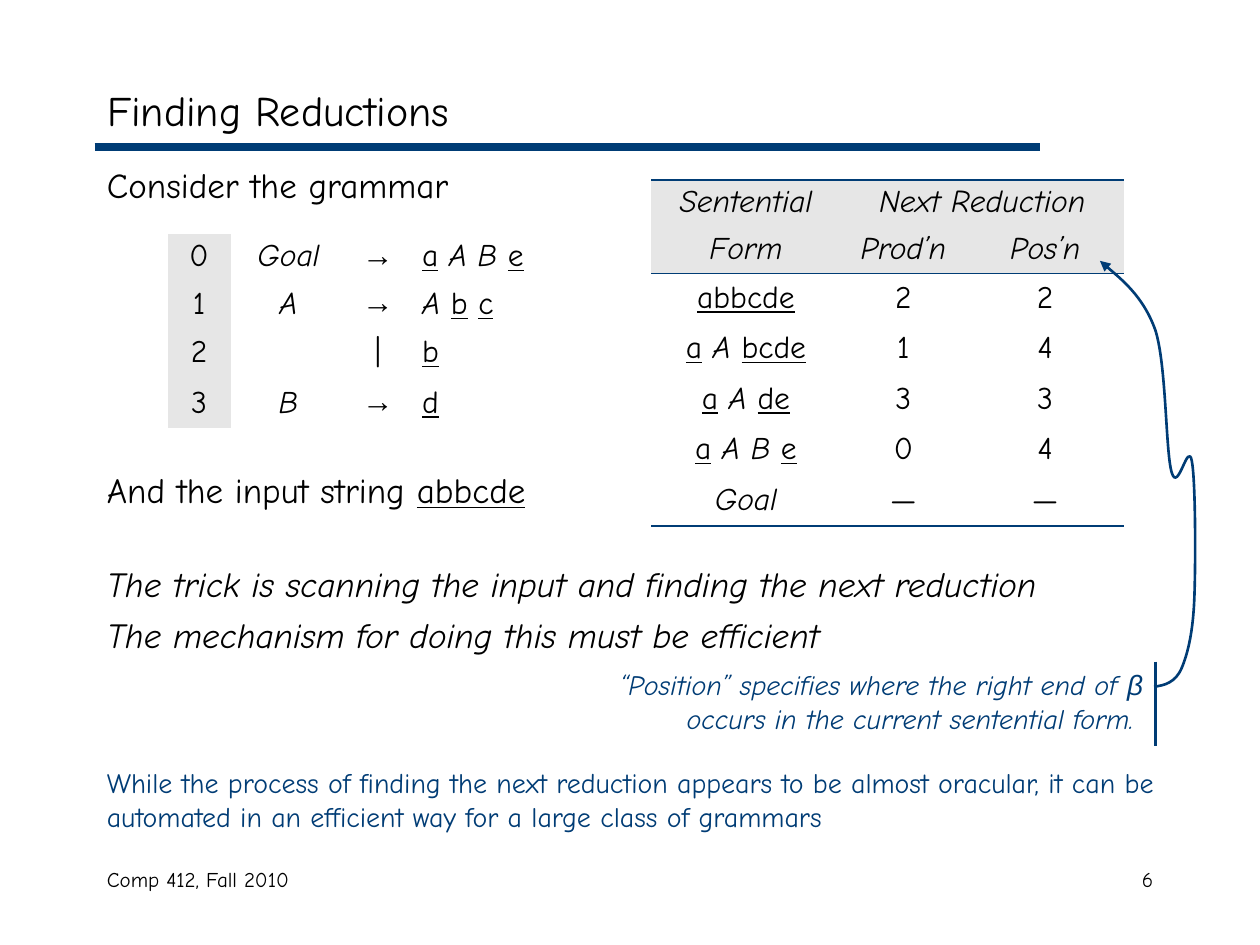
from lxml.etree import SubElement
from pptx import Presentation
from pptx.dml.color import RGBColor
from pptx.enum.text import MSO_ANCHOR, PP_ALIGN
from pptx.oxml.ns import qn
from pptx.util import Inches, Pt

FONT = "Comic Neue"
SYMBOL_FONT = "Arial"
BLACK = RGBColor(0x00, 0x00, 0x00)
WHITE = RGBColor(0xFF, 0xFF, 0xFF)
GREY = RGBColor(0xE6, 0xE6, 0xE6)
NAVY = RGBColor(0x00, 0x3C, 0x75)
NO_GRID_STYLE = "{2D5ABB26-0587-4C30-8999-92F81FD0307C}"
LEFT, CENTER, RIGHT = PP_ALIGN.LEFT, PP_ALIGN.CENTER, PP_ALIGN.RIGHT

GRAMMAR = [
    ["0", "Goal", "→", "a A B e"],
    ["1", "A", "→", "A b c"],
    ["2", "", "|", "b"],
    ["3", "B", "→", "d"],
]
REDUCTIONS = [
    ["Sentential", "Next Reduction", ""],
    ["Form", "Prod’n", "Pos’n"],
    ["abbcde", "2", "2"],
    ["a A bcde", "1", "4"],
    ["a A de", "3", "3"],
    ["a A B e", "0", "4"],
    ["Goal", "—", "—"],
]
POINTER = [
    (9.16, 5.45),
    (9.24, 5.44), (9.33, 5.42), (9.38, 5.3),
    (9.43, 5.18), (9.47, 5.01), (9.48, 4.74),
    (9.49, 4.47), (9.49, 3.82), (9.46, 3.66),
    (9.43, 3.49), (9.35, 3.92), (9.3, 3.75),
    (9.25, 3.58), (9.26, 2.9), (9.17, 2.62),
    (9.07, 2.34), (8.73, 2.07), (8.73, 2.07),
]


class SlideBuilder:
    def __init__(self, slide):
        self.slide = slide
        self.shapes = slide.shapes

    def style(self, paragraph, size, color=BLACK, align=LEFT, before=0, italic=None):
        paragraph.alignment = align
        paragraph.space_before = Pt(before)
        font = paragraph.font
        font.name, font.size, font.italic = FONT, Pt(size), italic
        font.color.rgb = color

    def title(self, text, left, top, width, height):
        title = self.slide.shapes.title
        title.left, title.top = Inches(left), Inches(top)
        title.width, title.height = Inches(width), Inches(height)
        title.text_frame.text = text
        title.text_frame.vertical_anchor = MSO_ANCHOR.MIDDLE
        self.style(title.text_frame.paragraphs[0], 24)

    def text_box(self, left, top, width, height):
        box = self.shapes.add_textbox(Inches(left), Inches(top), Inches(width), Inches(height))
        box.text_frame.word_wrap = True
        return box.text_frame

    def text(self, text, left, top, width, height, size, **style):
        paragraph = self.text_box(left, top, width, height).paragraphs[0]
        paragraph.text = text
        self.style(paragraph, size, **style)
        return paragraph

    def line(self, x1, y1, x2, y2, width):
        line = self.shapes.add_connector(1, Inches(x1), Inches(y1), Inches(x2), Inches(y2))
        line.line.color.rgb, line.line.width = NAVY, Pt(width)
        SubElement(line._element.spPr, qn("a:effectLst"))

    def curved_arrow(self, points, width):
        start, *rest = [(Inches(x), Inches(y)) for x, y in points]
        builder = self.shapes.build_freeform(*start)
        builder.add_line_segments(rest, close=False)
        curve = builder.convert_to_shape()
        segments = curve._element.findall(".//" + qn("a:lnTo"))
        outline = segments[0].getparent()
        for first in range(0, len(segments), 3):
            bezier = SubElement(outline, qn("a:cubicBezTo"))
            for segment in segments[first:first + 3]:
                bezier.append(segment[0])
                outline.remove(segment)
        curve.shadow.inherit = False
        curve.fill.background()
        curve.line.color.rgb, curve.line.width = NAVY, Pt(width)
        SubElement(curve.line._get_or_add_ln(), qn("a:tailEnd"), type="triangle")

    def table(self, rows, left, top, widths, heights):
        frame = self.shapes.add_table(
            len(rows), len(widths), Inches(left), Inches(top),
            Inches(sum(widths)), Inches(sum(heights)))
        table = frame.table
        table.first_row = table.horz_banding = False
        table._tbl.tblPr.find(qn("a:tableStyleId")).text = NO_GRID_STYLE
        for column, width in zip(table.columns, widths):
            column.width = Inches(width)
        for row, height in zip(table.rows, heights):
            row.height = Inches(height)
        return table

    def cell(self, cell, text, fill, align=CENTER, before=0, spacing=None):
        cell.fill.solid()
        cell.fill.fore_color.rgb = fill
        paragraph = cell.text_frame.paragraphs[0]
        paragraph.line_spacing = spacing
        self.style(paragraph, 18, align=align, before=before)
        for position, symbol in enumerate(text.split()):
            if position:
                paragraph.add_run().text = " "
            run = paragraph.add_run()
            run.text = symbol
            if symbol[0].isupper():
                run.font.italic = True
            elif symbol.islower():
                run.font.underline = True
            elif symbol == "→":
                run.font.name = SYMBOL_FONT

    def border(self, cell, side, width):
        line = SubElement(cell._tc.get_or_add_tcPr(), qn("a:" + side), w=str(Pt(width)))
        fill = SubElement(line, qn("a:solidFill"))
        SubElement(fill, qn("a:srgbClr"), val=str(NAVY))


def add_body(builder):
    frame = builder.text_box(0.75, 1.25, 8.5, 5.42)
    lines = [
        ("Consider the grammar", 0, None),
        ("And the input string ", 150, None),
        ("The trick is scanning the input and finding the next reduction", 30, True),
        ("The mechanism for doing this must be efficient", 5, True),
    ]
    for position, (text, before, italic) in enumerate(lines):
        paragraph = frame.add_paragraph() if position else frame.paragraphs[0]
        paragraph.text = text
        builder.style(paragraph, 20, before=before, italic=italic)
    run = frame.paragraphs[1].add_run()
    run.text = "abbcde"
    run.font.underline = True


def add_grammar(builder):
    table = builder.table(GRAMMAR, 1.33, 1.86, [0.5, 0.92, 0.5, 1.17], [0.38, 0.38, 0.4, 0.38])
    for r, row in enumerate(GRAMMAR):
        for c, text in enumerate(row):
            builder.cell(table.cell(r, c), text, WHITE if c else GREY,
                         align=LEFT if c == 3 else CENTER, spacing=0.9)


def add_reductions(builder):
    table = builder.table(REDUCTIONS, 5.17, 1.43, [1.5, 1, 1.25], [0.37] * 2 + [0.4] * 5)
    table.cell(0, 1).merge(table.cell(0, 2))
    borders = {0: ("lnT", 1.08), 1: ("lnB", 0.45), 6: ("lnB", 1.08)}
    for r, row in enumerate(REDUCTIONS):
        header = r < 2
        for c, text in enumerate(row):
            cell = table.cell(r, c)
            if r in borders:
                builder.border(cell, *borders[r])
            builder.cell(cell, text, GREY if header else WHITE,
                         spacing=0.9 if header else None)


def add_position_note(builder):
    builder.shapes = builder.slide.shapes.add_group_shape().shapes
    paragraph = builder.text("“Position” specifies where the right end of ",
                             4.5, 5.25, 4.67, 0.64, 16, color=NAVY, align=RIGHT, italic=True)
    beta = paragraph.add_run()
    beta.text = "β"
    beta.font.name = SYMBOL_FONT
    paragraph.add_run().text = " occurs in the current sentential form. "
    builder.line(9.17, 5.25, 9.17, 5.92, 1.5)
    builder.curved_arrow(POINTER, 1.5)


def main():
    presentation = Presentation()
    presentation.slide_width, presentation.slide_height = Inches(10), Inches(7.5)
    builder = SlideBuilder(presentation.slides.add_slide(presentation.slide_layouts[5]))
    builder.line(0.75, 1.17, 8.25, 1.17, 4.5)
    builder.text("Comp 412, Fall 2010", 0.75, 6.83, 3.17, 0.5, 12)
    builder.text("6", 7.17, 6.83, 2.08, 0.5, 12, align=RIGHT)
    builder.title("Finding Reductions", 0.75, 0.58, 8.5, 0.58)
    add_body(builder)
    builder.text("While the process of finding the next reduction appears to be almost oracular, "
                 "it can be automated in an efficient way for a large class of grammars",
                 0.75, 6.03, 8.7, 0.64, 16, color=NAVY)
    add_grammar(builder)
    add_reductions(builder)
    add_position_note(builder)
    presentation.save("out.pptx")


if __name__ == "__main__":
    main()
